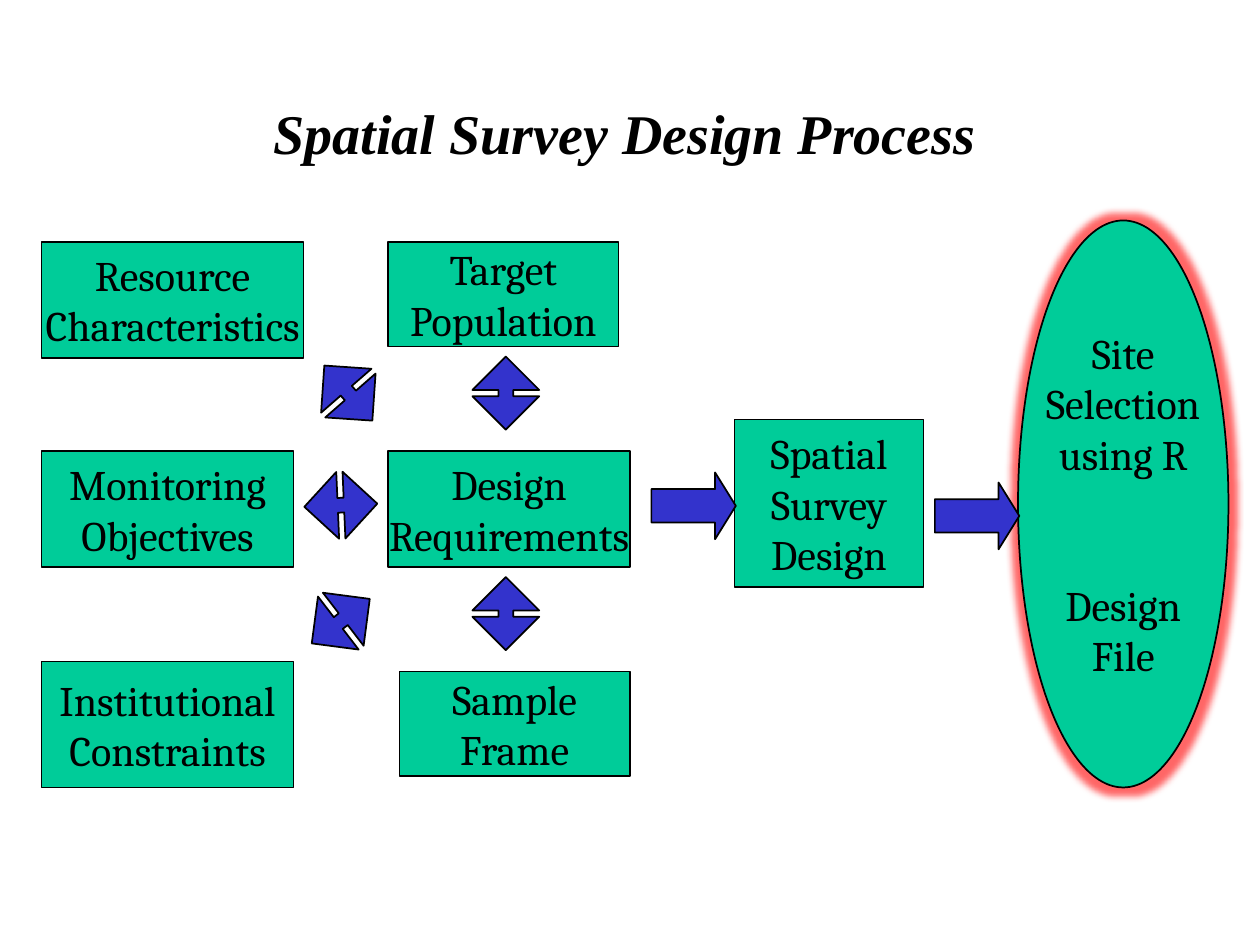
import pptx
import pptx.util
import pptx.dml.color
import pptx.enum.shapes
import pptx.enum.text
import pptx.oxml
import pptx.oxml.ns

Inches, Pt = pptx.util.Inches, pptx.util.Pt
SHAPE = pptx.enum.shapes.MSO_SHAPE
GREEN, BLUE, BLACK, RED = "00CC99", "3333CC", "000000", "FF0000"
LABEL = {"size": Pt(24), "name": "Cambria"}
TITLE = {"size": Pt(32), "name": "Times New Roman", "bold": True, "italic": True}

BOXES = [
    (0.33, 1.92, 2.08, 0.92, "Resource Characteristics"),
    (0.33, 3.58, 2, 0.92, "Monitoring Objectives"),
    (0.33, 5.25, 2, 1, "Institutional Constraints"),
    (3.08, 3.58, 1.92, 0.92, "Design Requirements"),
    (3.08, 1.92, 1.83, 0.83, "Target Population"),
    (3.17, 5.33, 1.83, 0.83, "Sample Frame"),
    (5.83, 3.33, 1.5, 1.33, "Spatial Survey Design"),
]
# left, top, rotation
DOUBLE_ARROWS = [
    (2.5, 2.83, 318.9),
    (2.44, 4.64, 52.5),
    (2.44, 3.72, 87.5),
    (3.75, 2.83, 0),
    (3.75, 4.58, 0),
]
RIGHT_ARROWS = [(5.17, 3.75), (7.42, 3.83)]


def rgb(color):
    return pptx.dml.color.RGBColor.from_string(color)


def write_lines(s, lines, font, wrap=False):
    tf = s.text_frame
    tf.word_wrap = wrap
    tf.vertical_anchor = pptx.enum.text.MSO_ANCHOR.MIDDLE
    for i, line in enumerate(lines):
        p = tf.add_paragraph() if i else tf.paragraphs[0]
        p.alignment = pptx.enum.text.PP_ALIGN.CENTER
        r = p.add_run()
        r.text = line
        for name, value in font.items():
            setattr(r.font, name, value)
        r.font.color.rgb = rgb(BLACK)


def add_title(slide, text):
    s = slide.shapes.add_textbox(Inches(0.75), Inches(0.59), Inches(8.42), Inches(0.91))
    write_lines(s, [text], TITLE, wrap=True)


def add_outlined(slide, kind, left, top, width, height, fill):
    s = slide.shapes.add_shape(kind, Inches(left), Inches(top), Inches(width), Inches(height))
    s.shadow.inherit = False
    s.fill.solid()
    s.fill.fore_color.rgb = rgb(fill)
    s.line.color.rgb = rgb(BLACK)
    s.line.width = Pt(1)
    return s


def add_arrow(slide, kind, left, top, width, height, head, rotation=0):
    s = add_outlined(slide, kind, left, top, width, height, BLUE)
    s.adjustments[0] = 0.5
    s.adjustments[1] = head
    s.rotation = rotation


def add_glow(s, color, radius, alpha):
    """Put a soft halo round a shape; alpha is a percentage."""
    effects = s.element.spPr.find(pptx.oxml.ns.qn("a:effectLst"))
    effects.append(pptx.oxml.parse_xml(
        f'<a:glow {pptx.oxml.ns.nsdecls("a")} rad="{int(radius)}">'
        f'<a:srgbClr val="{color}"><a:alpha val="{alpha * 1000}"/></a:srgbClr></a:glow>'))


def add_site_selection(slide):
    s = add_outlined(slide, SHAPE.OVAL, 8.08, 1.75, 1.67, 4.5, GREEN)
    write_lines(s, ["Site", "Selection", "using R", "Design", "File"], LABEL)
    s.text_frame.paragraphs[3].space_before = Pt(57.6)
    add_glow(s, RED, Pt(8), 60)


def main():
    prs = pptx.Presentation()
    prs.slide_width, prs.slide_height = Inches(10), Inches(7.5)
    slide = prs.slides.add_slide(prs.slide_layouts[6])
    add_title(slide, "Spatial Survey Design Process")
    for *place, text in BOXES:
        s = add_outlined(slide, SHAPE.RECTANGLE, *place, GREEN)
        write_lines(s, text.split(), LABEL)
    add_site_selection(slide)
    for left, top, rotation in DOUBLE_ARROWS:
        add_arrow(slide, SHAPE.UP_DOWN_ARROW, left, top, 0.53, 0.58, 0.22, rotation)
    for left, top in RIGHT_ARROWS:
        add_arrow(slide, SHAPE.RIGHT_ARROW, left, top, 0.67, 0.53, 0.31)
    prs.save("out.pptx")


if __name__ == "__main__":
    main()
